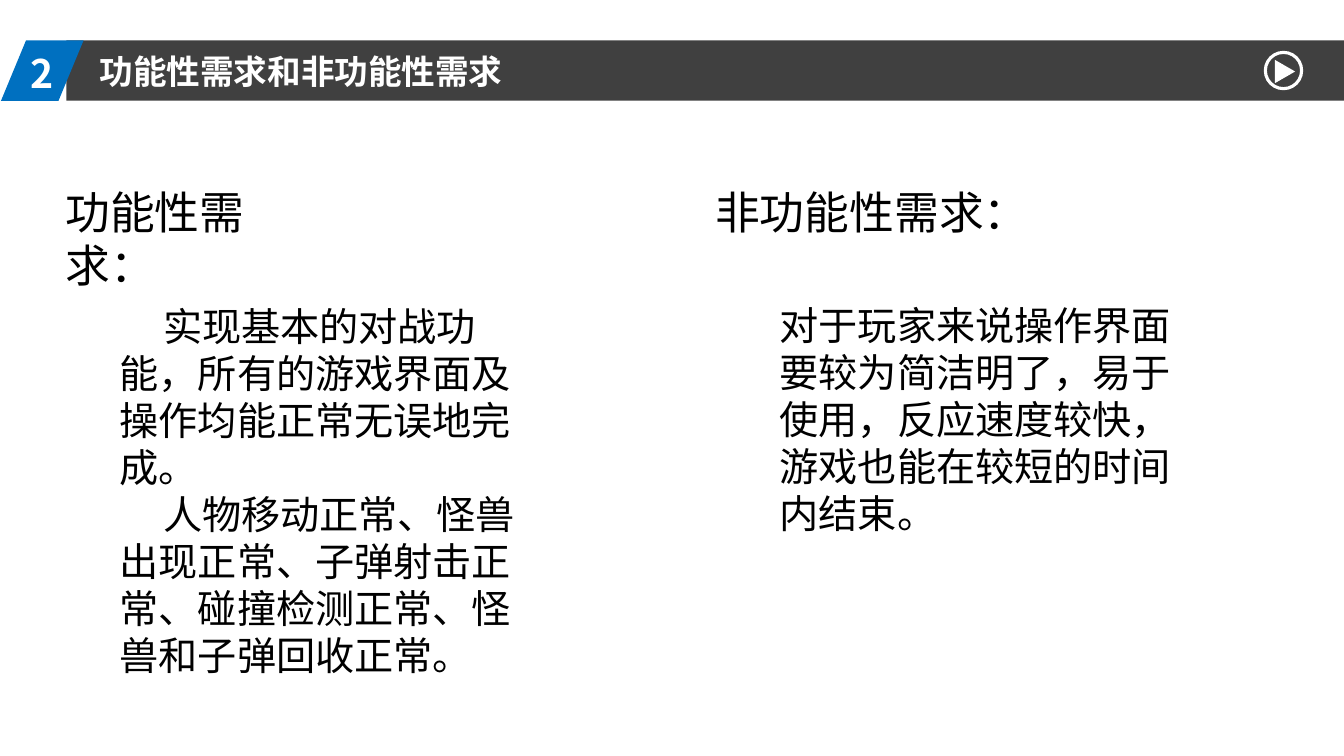
"""Build the functional and non-functional requirements slide."""
from pptx import Presentation
from pptx.dml.color import RGBColor
from pptx.enum.shapes import MSO_SHAPE
from pptx.util import Inches, Pt

RECTANGLE = MSO_SHAPE.RECTANGLE
PARALLELOGRAM = MSO_SHAPE.PARALLELOGRAM
OVAL = MSO_SHAPE.OVAL
TRIANGLE = MSO_SHAPE.ISOSCELES_TRIANGLE


def rgb(value):
    return RGBColor.from_string(value)


class SlideBuilder:
    WHITE, BLACK, DARK, BLUE = "FFFFFF", "000000", "404040", "0070C0"
    TITLE_FONT, BODY_FONT = "Noto Sans CJK SC", "Calibri"
    HEADING_SIZE, BODY_SIZE = 32, 28

    def __init__(self, prs):
        self.slide = prs.slides.add_slide(prs.slide_layouts[6])

    def shape(self, kind, box, fill=None, line=None, adj=None, rotation=0):
        sp = self.slide.shapes.add_shape(kind, *map(Inches, box))
        sp.shadow.inherit = False
        sp.rotation = rotation
        if adj is not None:
            sp.adjustments[0] = adj
        if fill:
            sp.fill.solid()
            sp.fill.fore_color.rgb = rgb(fill)
        else:
            sp.fill.background()
        if line:
            sp.line.color.rgb = rgb(line)
            sp.line.width = Pt(2.25)
        else:
            sp.line.fill.background()

    def text(self, paragraphs, box, size, font=BODY_FONT, color=BLACK,
             bold=False, indent=0):
        tf = self.slide.shapes.add_textbox(*map(Inches, box)).text_frame
        tf.word_wrap = True
        for i, content in enumerate(paragraphs):
            p = tf.add_paragraph() if i else tf.paragraphs[0]
            pPr = p._p.get_or_add_pPr()
            pPr.set("indent", str(Inches(indent)))
            pPr.set("hangingPunct", "0")
            r = p.add_run()
            r.text = content
            r.font.name = font
            r.font.size = Pt(size)
            r.font.bold = bold
            r.font.color.rgb = rgb(color)

    def title(self, content, box, size):
        self.text([content], box, size, self.TITLE_FONT, self.WHITE, bold=True)

    def heading(self, content, left, width):
        self.text([content], (left, 1.78, width, 0.64), self.HEADING_SIZE)

    def body(self, paragraphs, box, indent=0):
        self.text(paragraphs, box, self.BODY_SIZE, indent=indent)


def main():
    prs = Presentation()
    prs.slide_width, prs.slide_height = Inches(13.34), Inches(7.5)
    s = SlideBuilder(prs)

    s.shape(RECTANGLE, (0.66, 0.4, 12.68, 0.6), fill=s.DARK)
    s.shape(PARALLELOGRAM, (0.01, 0.4, 0.82, 0.6), fill=s.BLUE, adj=0.415)
    s.title("2", (0.2, 0.44, 0.69, 0.57), 28)
    s.title("功能性需求和非功能性需求", (0.89, 0.46, 4.36, 0.5), 24)
    s.shape(OVAL, (12.56, 0.52, 0.36, 0.36), line=s.WHITE)
    s.shape(TRIANGLE, (12.64, 0.61, 0.23, 0.2), fill=s.WHITE, rotation=90)

    s.heading("功能性需求：", 0.55, 2.63)
    s.body(["实现基本的对战功能，所有的游戏界面及操作均能正常无误地完成。",
            "人物移动正常、怪兽出现正常、子弹射击正常、碰撞检测正常、怪兽和子弹回收正常。"],
           (1.09, 2.95, 4.4, 3.37), indent=0.43)
    s.heading("非功能性需求：", 7, 3.53)
    s.body(["对于玩家来说操作界面要较为简洁明了，易于使用，反应速度较快，游戏也能在较短的时间内结束。"],
           (7.64, 2.94, 4.31, 2.44))

    prs.save("out.pptx")


if __name__ == "__main__":
    main()
